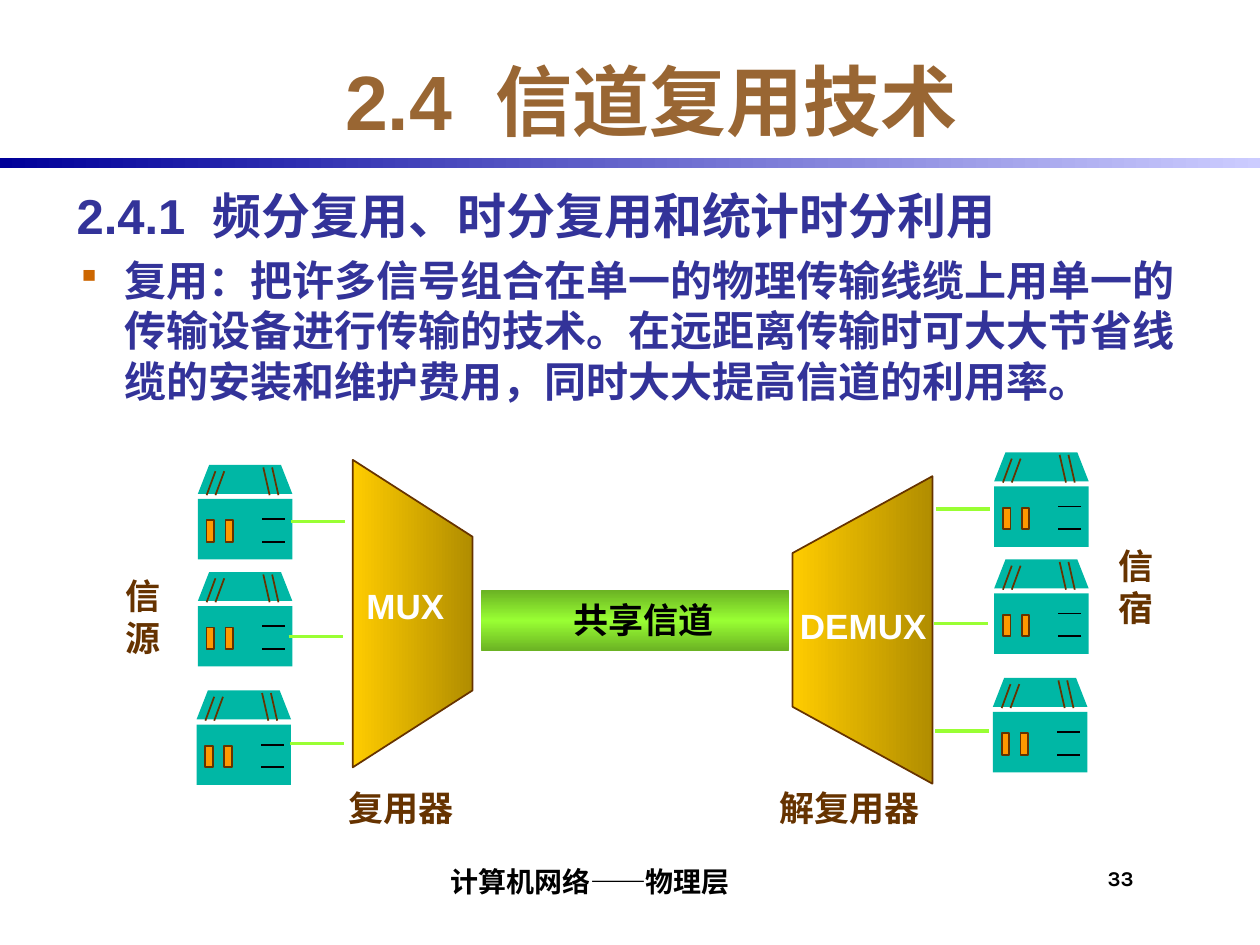
import pptx
import pptx.dml.color
import pptx.enum.shapes
import pptx.enum.text
import pptx.oxml.ns
import pptx.util
from dataclasses import dataclass
from lxml import etree

Inches = pptx.util.Inches
qn = pptx.oxml.ns.qn
RGB = pptx.dml.color.RGBColor.from_string
RECT = pptx.enum.shapes.MSO_SHAPE.RECTANGLE
STRAIGHT = pptx.enum.shapes.MSO_CONNECTOR.STRAIGHT
ALIGN = pptx.enum.text.PP_ALIGN
ANCHOR = pptx.enum.text.MSO_ANCHOR


@dataclass(frozen=True)
class Theme:
    title: str = "996633"
    body: str = "333399"
    bullet: str = "CC6600"
    brown: str = "663300"
    teal: str = "00B7A5"
    orange: str = "FF9900"
    green: str = "99FF33"
    black: str = "000000"
    white: str = "FFFFFF"
    rule: tuple = ("000099", "CCCCFF")
    gold: tuple = ("FFCC00", "B18D00")
    channel: tuple = ("6AB123", "99FF33", "6AB123")
    title_size: int = 44
    heading_size: int = 28
    body_size: int = 24
    label_size: int = 20
    footer_size: int = 16
    number_size: int = 12
    font: str = "Arial"
    footer_font: str = "Karla"


T = Theme()

prs = pptx.Presentation()
prs.slide_width, prs.slide_height = Inches(10), Inches(7.5)
s = prs.slides.add_slide(prs.slide_layouts[6])


def paint(sp, fill, line=None, angle=0):
    sp.shadow.inherit = False
    if isinstance(fill, tuple):
        sp.fill.gradient()
        sp.fill.gradient_angle = angle
        stops = sp._element.spPr.find(qn("a:gradFill")).find(qn("a:gsLst"))
        for gs in list(stops):
            stops.remove(gs)
        for i, color in enumerate(fill):
            gs = etree.SubElement(stops, qn("a:gs"), pos=str(100000 * i // (len(fill) - 1)))
            etree.SubElement(gs, qn("a:srgbClr"), val=color)
    else:
        sp.fill.solid()
        sp.fill.fore_color.rgb = RGB(fill)
    if line:
        sp.line.color.rgb = RGB(line)
        sp.line.width = pptx.util.Pt(1)
    else:
        sp.line.fill.background()


def add_text(box, lines, sizes, color, font=T.font, align=ALIGN.LEFT,
             anchor=ANCHOR.TOP, wrap=True, insets=(0.1, 0.05, 0.1, 0.05)):
    tf = s.shapes.add_textbox(*map(Inches, box)).text_frame
    tf.word_wrap = wrap
    tf.vertical_anchor = anchor
    tf.margin_left, tf.margin_top, tf.margin_right, tf.margin_bottom = map(Inches, insets)
    for i, (line, size) in enumerate(zip(lines, sizes)):
        p = tf.add_paragraph() if i else tf.paragraphs[0]
        p.alignment = align
        for part in line.partition(" "):
            if part:
                r = p.add_run()
                r.text = part
                r.font.size = pptx.util.Pt(size)
                r.font.name = font
                r.font.bold = True
                r.font.color.rgb = RGB(color)
                if part == " ":
                    r._r.get_or_add_rPr().set("spc", str(28 * size))
    return tf


rule = s.shapes.add_shape(RECT, 0, Inches(1.25), Inches(10), Inches(0.08))
paint(rule, T.rule)

add_text((0.92, 0.33, 8.5, 0.92), ["2.4 信道复用技术"], [T.title_size], T.title,
         align=ALIGN.CENTER, anchor=ANCHOR.MIDDLE)

tf = add_text(
    (0.51, 1.42, 9.13, 2), [
        "2.4.1 频分复用、时分复用和统计时分利用",
        "复用：把许多信号组合在单一的物理传输线缆上用单一的传输设备进行传输的技术。"
        "在远距离传输时可大大节省线缆的安装和维护费用，同时大大提高信道的利用率。",
    ], [T.heading_size, T.body_size], T.body)
for p in tf.paragraphs:
    pPr = p._p.get_or_add_pPr()
    pPr.set("marL", str(Inches(0.38)))
    pPr.set("indent", str(Inches(-0.38)))
p.space_before = pptx.util.Pt(6)
buClr = etree.SubElement(pPr, qn("a:buClr"))
etree.SubElement(buClr, qn("a:srgbClr"), val=T.bullet)
etree.SubElement(pPr, qn("a:buSzPct"), val="80000")
etree.SubElement(pPr, qn("a:buChar"), char="▪")

servers = [(1.57, 3.69), (1.57, 4.54), (1.56, 5.48)]
links = [(2.31, 4.14), (2.29, 5.05), (2.3, 5.9)]
servers += [(x + 6.32, y - 0.1) for x, y in servers]
links += [(x + 5.12, y - 0.1) for x, y in links]

outlines = [
    ([(2.8, 3.65), (3.75, 4.26), (3.75, 5.48), (2.8, 6.09)], T.gold, T.brown),
    ([(7.4, 3.78), (7.4, 6.22), (6.29, 5.61), (6.29, 4.39)], T.gold, T.brown),
]
strokes = [(x, y, x + 0.43, y, T.green, 2) for x, y in links]
for x, y in servers:
    roof = [(x, y + 0.23), (x + 0.09, y), (x + 0.66, y), (x + 0.75, y + 0.23)]
    outlines.append((roof, T.teal, None))
    front = s.shapes.add_shape(RECT, Inches(x), Inches(y + 0.27), Inches(0.75), Inches(0.48))
    paint(front, T.teal)
    for dx in (0.07, 0.22):
        window = s.shapes.add_shape(RECT, Inches(x + dx), Inches(y + 0.44),
                                    Inches(0.06), Inches(0.17))
        paint(window, T.orange, T.brown)
    for dy in (0.43, 0.61):
        strokes.append((x + 0.69, y + dy, x + 0.51, y + dy, T.black, 1))
    for dx, lean, top in ((0.07, 0.07, 0.05), (0.14, 0.07, 0.05),
                          (0.57, -0.05, 0.02), (0.64, -0.05, 0.02)):
        strokes.append((x + dx, y + 0.24, x + dx + lean, y + top, T.brown, 1))

for points, fill, line in outlines:
    start, *rest = [(Inches(x), Inches(y)) for x, y in points]
    builder = s.shapes.build_freeform(*start)
    builder.add_line_segments(rest, close=True)
    paint(builder.convert_to_shape(), fill, line)

for x1, y1, x2, y2, color, width in strokes:
    ln = s.shapes.add_connector(STRAIGHT, Inches(x1), Inches(y1), Inches(x2), Inches(y2))
    ln.line.color.rgb = RGB(color)
    ln.line.width = pptx.util.Pt(width)
    etree.SubElement(ln._element.spPr, qn("a:effectLst"))

channel = s.shapes.add_shape(RECT, Inches(3.82), Inches(4.68), Inches(2.44), Inches(0.49))
paint(channel, T.channel, angle=90)

for x, y, w, label, color in (
    (2.81, 4.59, 0.82, "MUX", T.white),
    (6.25, 4.75, 1.21, "DEMUX", T.white),
    (4.45, 4.7, 1.32, "共享信道", T.black),
    (2.67, 6.19, 1.04, "复用器", T.brown),
    (6.09, 6.19, 1.32, "解复用器", T.brown),
):
    add_text((x, y, w, 0.43), [label], [T.label_size], color, wrap=False)

for x, y, label in ((0.9, 4.51, "信源"), (8.78, 4.27, "信宿")):
    add_text((x, y, 0.52, 0.77), [label], [T.label_size], T.brown)

add_text((2.08, 6.75, 5.17, 0.42), ["计算机网络——物理层"], [T.footer_size], T.black,
         T.footer_font, ALIGN.CENTER, ANCHOR.BOTTOM, insets=(0.04, 0, 0, 0.04))
add_text((8.75, 6.83, 0.58, 0.42), ["33"], [T.number_size], T.black,
         T.footer_font, insets=(0.04, 0.04, 0, 0))

prs.save("out.pptx")
